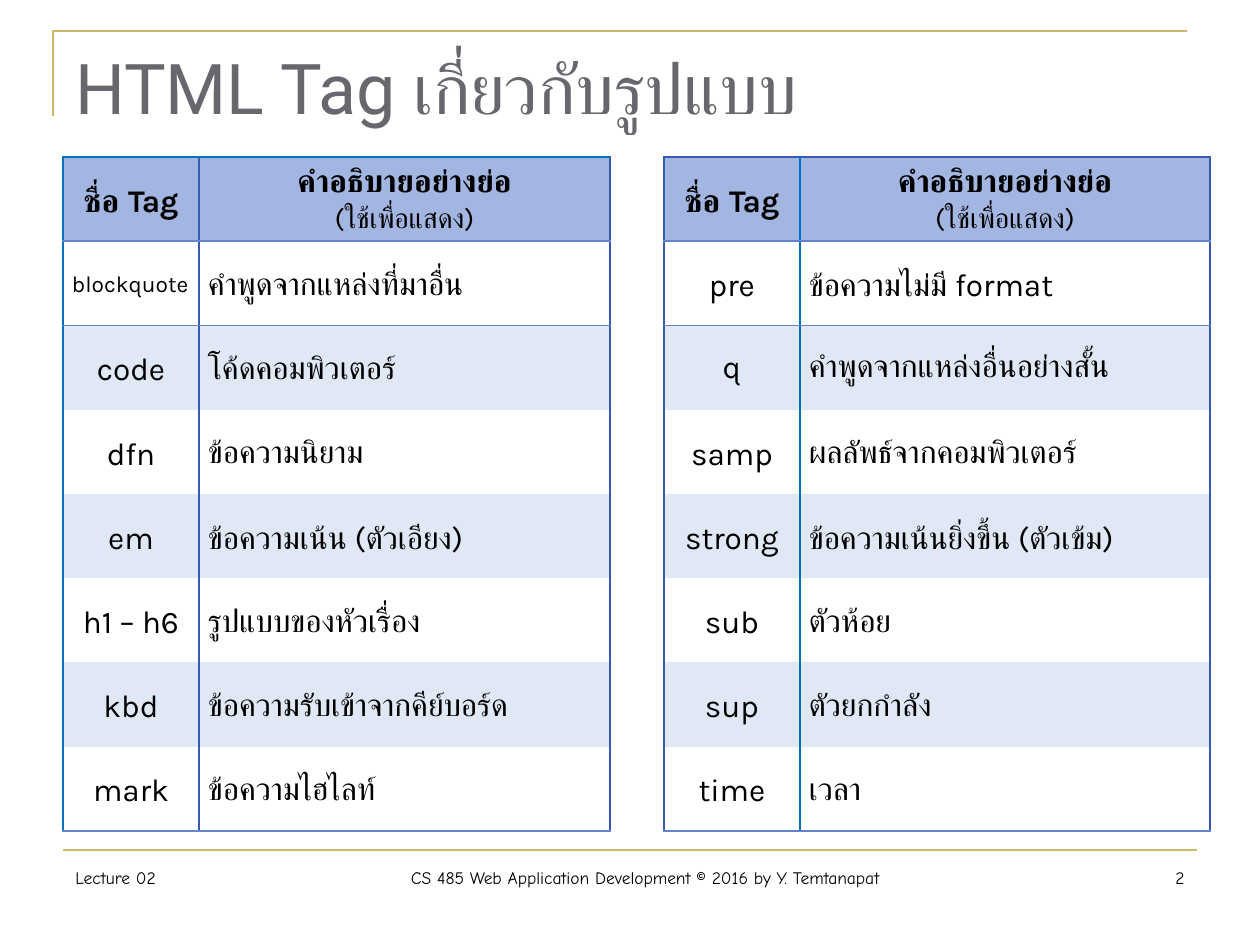
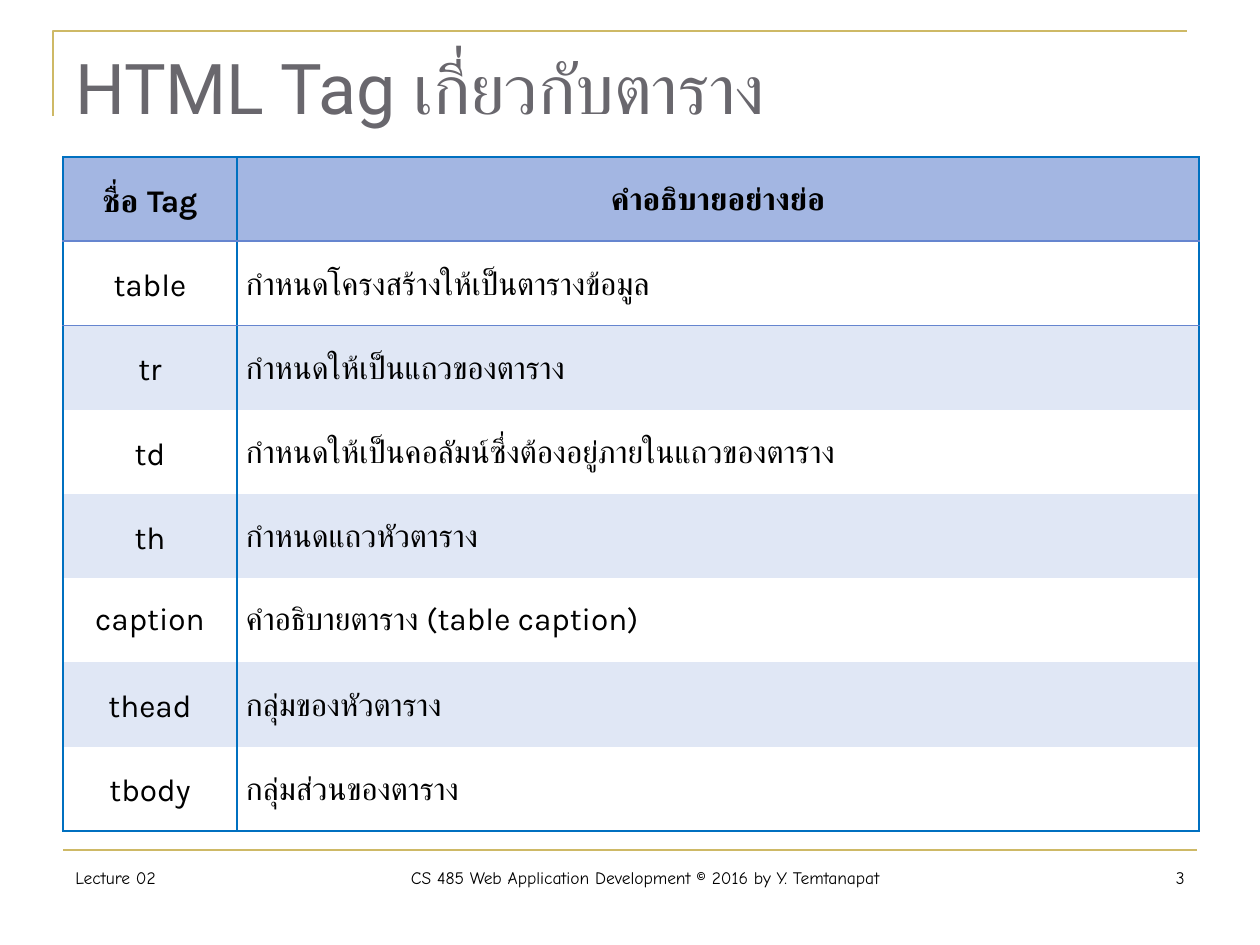
from lxml.etree import SubElement
from pptx import Presentation
from pptx.dml.color import RGBColor
from pptx.enum.shapes import MSO_CONNECTOR as Connector
from pptx.enum.text import MSO_ANCHOR as Anchor, PP_ALIGN as Align
from pptx.oxml.ns import qn
from pptx.util import Pt

COLORS = {
    "gold": "CEB966", "title": "69676D", "text": "000000",
    "header": "A3B6E2", "plain": "FFFFFF", "band": "E0E7F5",
    "blue": "0070C0", "navy": "375BB0", "rule": "6585CF",
}
TITLE_FONT, TABLE_FONT, FOOTER_FONT = "Roboto", "Karla", "Comic Neue"
NO_GRID_STYLE = "{2D5ABB26-0587-4C30-8999-92F81FD0307C}"

FOOTERS = [
    ("Lecture 02", 63, 203, Align.LEFT),
    ("CS 485 Web Application Development © 2016 by Y. Temtanapat", 266, 758, Align.CENTER),
    ("{number}", 1023, 174, Align.RIGHT),
]
TAG_HEADING = ["ชื่อ Tag"]
BRIEF_HEADING = ["คำอธิบายอย่างย่อ"]
USE_HEADING = BRIEF_HEADING + ["(ใช้เพื่อแสดง)"]

SLIDES = [
    {
        "number": 2,
        "title": "HTML Tag เกี่ยวกับรูปแบบ",
        "gap": 54,
        "panels": [
            {
                "widths": (136, 411),
                "headings": (TAG_HEADING, USE_HEADING),
                "verticals": ("blue", "navy", "navy"),
                "top": "blue", "bottom": "rule",
                "rows": [
                    ("blockquote", "คำพูดจากแหล่งที่มาอื่น"),
                    ("code", "โค้ดคอมพิวเตอร์"),
                    ("dfn", "ข้อความนิยาม"),
                    ("em", "ข้อความเน้น (ตัวเอียง)"),
                    ("h1 – h6", "รูปแบบของหัวเรื่อง"),
                    ("kbd", "ข้อความรับเข้าจากคีย์บอร์ด"),
                    ("mark", "ข้อความไฮไลท์"),
                ],
            },
            {
                "widths": (136, 410),
                "headings": (TAG_HEADING, USE_HEADING),
                "verticals": ("navy", "blue", "navy"),
                "top": "navy", "bottom": "rule",
                "rows": [
                    ("pre", "ข้อความไม่มี format"),
                    ("q", "คำพูดจากแหล่งอื่นอย่างสั้น"),
                    ("samp", "ผลลัพธ์จากคอมพิวเตอร์"),
                    ("strong", "ข้อความเน้นยิ่งขึ้น (ตัวเข้ม)"),
                    ("sub", "ตัวห้อย"),
                    ("sup", "ตัวยกกำลัง"),
                    ("time", "เวลา"),
                ],
            },
        ],
    },
    {
        "number": 3,
        "title": "HTML Tag เกี่ยวกับตาราง",
        "gap": 0,
        "panels": [
            {
                "widths": (174, 962),
                "headings": (TAG_HEADING, BRIEF_HEADING),
                "verticals": ("blue", "blue", "blue"),
                "top": "blue", "bottom": "blue",
                "rows": [
                    ("table", "กำหนดโครงสร้างให้เป็นตารางข้อมูล"),
                    ("tr", "กำหนดให้เป็นแถวของตาราง"),
                    ("td", "กำหนดให้เป็นคอลัมน์ซึ่งต้องอยู่ภายในแถวของตาราง"),
                    ("th", "กำหนดแถวหัวตาราง"),
                    ("caption", "คำอธิบายตาราง (table caption)"),
                    ("thead", "กลุ่มของหัวตาราง"),
                    ("tbody", "กลุ่มส่วนของตาราง"),
                ],
            },
        ],
    },
]
SINGLE_SPACED = {"q", "caption"}
SMALL_TAGS = {"blockquote"}
TABLE_LEFT, TABLE_TOP, TABLE_HEIGHT = 63, 157, 674


def px(length):
    return round(length * 914400 / 126)


def color(name):
    return RGBColor.from_string(COLORS[name])


def style(para, font, size, ink="text", align=Align.LEFT, bold=False):
    para.alignment = align
    para.font.name = font
    para.font.size = Pt(size)
    para.font.bold = bold
    para.font.color.rgb = color(ink)


def add_text(page, text, left, top, width, height, **look):
    box = page.shapes.add_textbox(px(left), px(top), px(width), px(height))
    box.text_frame.word_wrap = True
    para = box.text_frame.paragraphs[0]
    para.text = text
    style(para, **look)


def add_frame(page):
    builder = page.shapes.build_freeform(px(53), px(116))
    builder.add_line_segments([(px(53), px(31)), (px(1187), px(31))], close=False)
    bracket = builder.convert_to_shape()
    bracket.shadow.inherit = False
    bracket.fill.background()
    rule = page.shapes.add_connector(Connector.STRAIGHT, px(63), px(850), px(1197), px(850))
    SubElement(rule._element.spPr, qn("a:effectLst"))
    for shape in (bracket, rule):
        shape.line.color.rgb = color("gold")
        shape.line.width = Pt(1.5)


def add_borders(cell, borders):
    props = cell._tc.get_or_add_tcPr()
    for side in "LRTB":
        if borders.get(side):
            line = SubElement(props, qn(f"a:ln{side}"), w=str(Pt(1)))
            fill = SubElement(line, qn("a:solidFill"))
            SubElement(fill, qn("a:srgbClr"), val=COLORS[borders[side]])


def fill_cell(cell, lines, background, borders, looks, spacing):
    add_borders(cell, borders)
    cell.fill.solid()
    cell.fill.fore_color.rgb = color(background)
    cell.margin_left = cell.margin_right = px(9)
    cell.margin_top = cell.margin_bottom = 0
    cell.vertical_anchor = Anchor.MIDDLE
    cell.text = "\n".join(lines)
    for para, look in zip(cell.text_frame.paragraphs, looks):
        style(para, TABLE_FONT, **look)
        para.line_spacing = spacing


def fill_panel(table, panel, first_column):
    last = len(panel["rows"])
    for column in range(2):
        edges = {"L": panel["verticals"][column], "R": panel["verticals"][column + 1]}
        fill_cell(
            table.cell(0, first_column + column), panel["headings"][column], "header",
            {**edges, "T": panel["top"], "B": "rule"},
            [{"size": 18, "align": Align.CENTER, "bold": True},
             {"size": 16, "align": Align.CENTER}], 1.15)
        for index, row in enumerate(panel["rows"], 1):
            small = column == 0 and row[0] in SMALL_TAGS
            centered = column == 0 and not small
            fill_cell(
                table.cell(index, first_column + column), [row[column]],
                "plain" if index % 2 else "band",
                {**edges, "T": "rule" if index == 1 else None,
                 "B": panel["bottom"] if index == last else None},
                [{"size": 13 if small else 18,
                  "align": Align.CENTER if centered else Align.LEFT}],
                1.0 if row[0] in SINGLE_SPACED else 1.15)


def add_tag_table(page, panels, gap):
    widths = []
    for panel in panels:
        widths += ([gap] if widths else []) + list(panel["widths"])
    row_count = len(panels[0]["rows"]) + 1
    table = page.shapes.add_table(
        row_count, len(widths), px(TABLE_LEFT), px(TABLE_TOP),
        px(sum(widths)), px(TABLE_HEIGHT)).table
    table._tbl.tblPr.find(qn("a:tableStyleId")).text = NO_GRID_STYLE
    table.first_row = table.horz_banding = False
    for column, width in zip(table.columns, widths):
        column.width = px(width)
    for row in table.rows:
        row.height = px(TABLE_HEIGHT / row_count)
    for index, panel in enumerate(panels):
        fill_panel(table, panel, index * 3)


def main():
    deck = Presentation()
    deck.slide_width, deck.slide_height = px(1260), px(945)
    for content in SLIDES:
        page = deck.slides.add_slide(deck.slide_layouts[6])
        add_frame(page)
        add_text(page, content["title"], 63, 38, 1134, 157,
                 font=TITLE_FONT, size=40, ink="title")
        add_tag_table(page, content["panels"], content["gap"])
        for text, left, width, align in FOOTERS:
            add_text(page, text.format(number=content["number"]), left, 861, width, 63,
                     font=FOOTER_FONT, size=10, align=align)
    deck.save("out.pptx")


if __name__ == "__main__":
    main()
